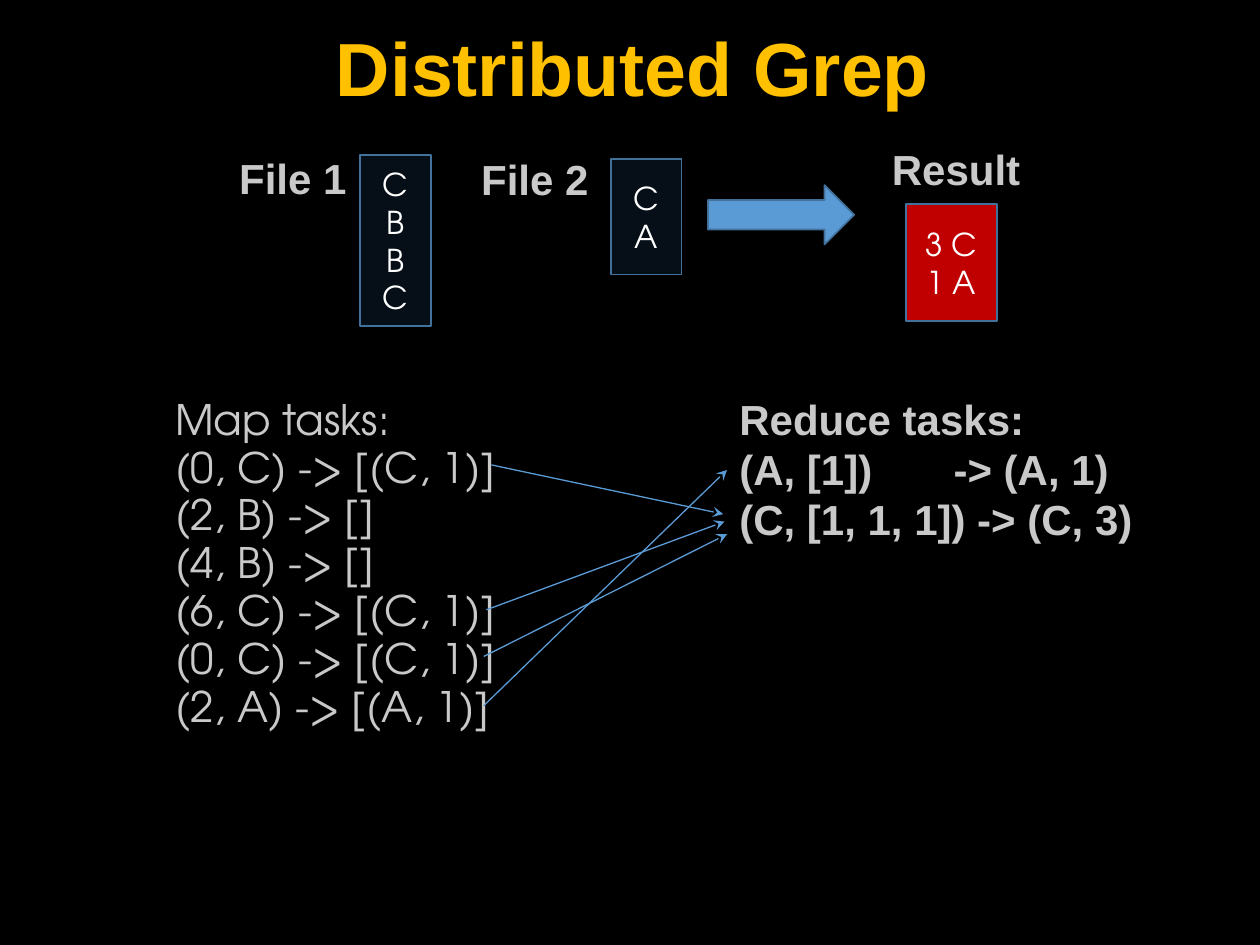
import pptx
import pptx.util
import pptx.dml.color
import pptx.enum.shapes
import pptx.enum.text
import pptx.oxml
from pptx.oxml.ns import qn

In, Pt = pptx.util.Inches, pptx.util.Pt
SHAPE = pptx.enum.shapes.MSO_SHAPE
ALIGN = pptx.enum.text.PP_ALIGN
ANCHOR = pptx.enum.text.MSO_ANCHOR

COLORS = {"back": "000000", "title": "FFC000", "text": "C9C9C9", "white": "FFFFFF",
          "file": "060F18", "result": "C00000", "edge": "42719B", "arrow": "5B9BD5"}
HEAD, BODY = "Arial", "TeX Gyre Adventor"

# Content: places are left, top, width, height in inches
TITLE = "Distributed Grep"
MAP_TASKS = ["Map tasks:", "(0, C) -> [(C, 1)]", "(2, B) -> []", "(4, B) -> []",
             "(6, C) -> [(C, 1)]", "(0, C) -> [(C, 1)]", "(2, A) -> [(A, 1)]"]
REDUCE_TASKS = ["Reduce tasks:", "(A, [1])\t-> (A, 1)", "(C, [1, 1, 1]) -> (C, 3)"]
REDUCE_TAB = 1.7
LABELS = [("File 1", (1.8, 1.16, 1.22, 0.51)),
          ("File 2", (3.72, 1.17, 1.22, 0.51)),
          ("Result", (6.98, 1.09, 1.22, 0.51))]
BOXES = [(["C", "B", "B", "C"], "file", (2.86, 1.23, 0.56, 1.36)),
         (["C", "A"], "file", (4.85, 1.26, 0.56, 0.92)),
         (["3 C", "1 A"], "result", (7.19, 1.62, 0.72, 0.93))]
SHUFFLE = [((3.9, 3.69), (5.74, 4.08)), ((3.86, 4.84), (5.75, 4.14)),
           ((3.84, 5.21), (5.77, 4.24)), ((3.84, 5.6), (5.77, 3.73))]


def rgb(name):
    return pptx.dml.color.RGBColor.from_string(COLORS[name])


def style(p, size, font, color, bold=False, align=ALIGN.LEFT, spacing=None):
    p.alignment = align
    if spacing:
        p.line_spacing = spacing
    f = p.font
    f.size, f.name, f.bold = Pt(size), font, bold
    f.color.rgb = rgb(color)


def add_text(s, text, place, size, font, color, inset=True, tab=None, **look):
    tf = s.shapes.add_textbox(*map(In, place)).text_frame
    tf.word_wrap = True
    if not inset:
        tf.margin_left = tf.margin_top = tf.margin_right = tf.margin_bottom = 0
    p = tf.paragraphs[0]
    p.text = text
    if tab:
        tabs = pptx.oxml.parse_xml(
            '<a:tabLst xmlns:a="http://schemas.openxmlformats.org/drawingml/2006/main">'
            f'<a:tab pos="{In(tab)}" algn="l"/></a:tabLst>')
        p._p.get_or_add_pPr().append(tabs)
    style(p, size, font, color, **look)


def add_block(s, kind, fill, place):
    sp = s.shapes.add_shape(kind, *map(In, place))
    sp.shadow.inherit = False
    sp.fill.solid()
    sp.fill.fore_color.rgb = rgb(fill)
    sp.line.color.rgb = rgb("edge")
    sp.line.width = Pt(1)
    return sp


def add_arrow(s, start, end):
    c = s.shapes.add_connector(pptx.enum.shapes.MSO_CONNECTOR.STRAIGHT,
                               *map(In, start + end))
    c.line.color.rgb = rgb("arrow")
    c.line.width = Pt(0.75)
    ln = c.line._get_or_add_ln()
    ln.append(ln.makeelement(qn("a:tailEnd"), {"type": "stealth"}))
    sp_pr = c._element.spPr
    sp_pr.append(sp_pr.makeelement(qn("a:effectLst"), {}))


def main():
    prs = pptx.Presentation()
    prs.slide_width, prs.slide_height = In(10), In(7.5)
    s = prs.slides.add_slide(prs.slide_layouts[6])
    s.background.fill.solid()
    s.background.fill.fore_color.rgb = rgb("back")

    # Title and map tasks
    add_text(s, "\n".join(MAP_TASKS), (1.39, 3.15, 2.74, 3.02), 24, BODY, "text",
             inset=False, spacing=0.95)
    add_text(s, TITLE, (0.86, 0.22, 8.32, 0.68), 43, HEAD, "title",
             inset=False, bold=True, align=ALIGN.CENTER, spacing=0.95)

    # Input files, result and the arrow between them
    for lines, fill, place in BOXES:
        tf = add_block(s, SHAPE.RECTANGLE, fill, place).text_frame
        tf.vertical_anchor = ANCHOR.MIDDLE
        tf.text = "\n".join(lines)
        for p in tf.paragraphs:
            style(p, 18, BODY, "white", align=ALIGN.CENTER)
    add_block(s, SHAPE.RIGHT_ARROW, "arrow", (5.62, 1.47, 1.16, 0.47))
    for label, place in LABELS:
        add_text(s, label, place, 24, HEAD, "text", bold=True)

    # Reduce tasks and the shuffle into them
    add_text(s, "\n".join(REDUCE_TASKS), (5.77, 3.07, 3.63, 1.31), 24, HEAD, "text",
             tab=REDUCE_TAB, bold=True)
    for start, end in SHUFFLE:
        add_arrow(s, start, end)

    prs.save("out.pptx")


if __name__ == "__main__":
    main()
